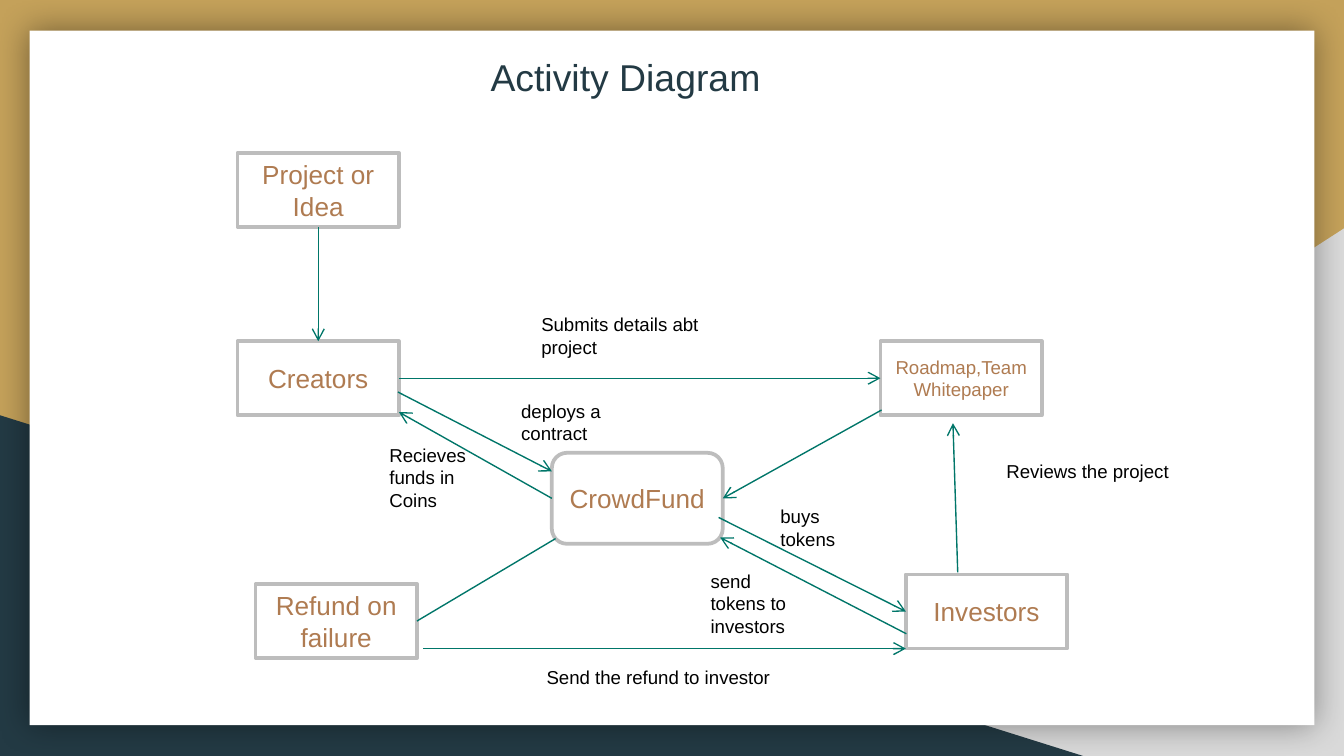
from lxml import etree
from pptx import Presentation
from pptx import util as u
from pptx.dml import color
from pptx.enum import shapes, text
from pptx.oxml import ns

# Content; all lengths in cm
SIZE = (25.4, 14.29)
THEME = {
    "font": "Arial", "gold": "C4A15A", "grey": "D9D9D9", "navy": "233A44",
    "white": "FFFFFF", "border": "BDBDBD", "copper": "AF7B51",
    "arrow": "007669", "black": "000000",
    "title": 20, "node": 14, "small": 10, "border_width": 2, "arrow_width": 0.75,
}
TITLE = ("Activity Diagram", 9.02, 0.89, 5.94, 1.12)
NODE_SIZE, HUB_SIZE = (3.05, 1.4), (3.23, 1.72)
NODES = {  # key: text, left, top
    "idea": ("Project or Idea", 4.49, 2.89),
    "creators": ("Creators", 4.49, 6.45),
    "refund": ("Refund on failure", 4.83, 11.04),
    "investors": ("Investors", 17.12, 10.86),
    "roadmap": ("Roadmap,Team Whitepaper", 16.64, 6.45),
    "hub": ("CrowdFund", 10.43, 8.56),
}
TOP, LEFT, BOTTOM, RIGHT = range(4)
LINKS = [  # each end is a point or a (node, side) pair; then whether it has a head
    (("refund", RIGHT), (10.5, 10.18), False),
    (("idea", BOTTOM), ("creators", TOP), True),
    (("creators", RIGHT), ("roadmap", LEFT), True),
    ((18.1, 10.82), (18.01, 8), True),
    ((16.66, 7.75), ("hub", RIGHT), True),
    ((13.58, 9.78), ("investors", LEFT), True),
    ((17.13, 11.98), (13.61, 10.16), True),
    ((7.52, 7.41), (10.43, 8.91), True),
    (("hub", LEFT), (7.54, 7.79), True),
    ((8, 12.26), (17.12, 12.26), True),
]
LABELS = [  # text, left, top, width, height
    ("Submits details abt project", 9.98, 5.79, 3.58, 1.12),
    ("Reviews the project", 18.77, 8.56, 3.58, 1.12),
    ("buys tokens", 14.5, 9.42, 2.13, 1.12),
    ("send tokens to investors", 13.18, 10.64, 2.13, 1.52),
    ("Recieves funds in Coins", 7.11, 8.26, 2.13, 1.52),
    ("deploys a contract", 9.6, 7.42, 2.13, 1.12),
    ("Send the refund to investor", 10.08, 12.45, 5, 0.69),
]


def rgb(name):
    return color.RGBColor.from_string(THEME[name])


def set_all(target, values):
    for name, value in values.items():
        setattr(target, name, value)


def write(shape, words, size, ink, align, anchor):
    frame = shape.text_frame
    frame.text = words
    set_all(frame, {"word_wrap": True, "vertical_anchor": anchor,
                    "auto_size": text.MSO_AUTO_SIZE.NONE})
    set_all(frame, dict.fromkeys(("margin_left", "margin_right"), u.Cm(0.25)))
    set_all(frame, dict.fromkeys(("margin_top", "margin_bottom"), u.Cm(0.13)))
    paragraph = frame.paragraphs[0]
    paragraph.alignment = align
    set_all(paragraph.font, {"name": THEME["font"], "size": u.Pt(THEME[size])})
    paragraph.font.color.rgb = rgb(ink)


def add_filled(slide, kind, fill, box, border=None):
    shape = slide.shapes.add_shape(kind, *map(u.Cm, box))
    shape.shadow.inherit = False
    shape.fill.solid()
    shape.fill.fore_color.rgb = rgb(fill)
    if border:
        shape.line.color.rgb = rgb(border)
        shape.line.width = u.Pt(THEME["border_width"])
    else:
        shape.line.fill.background()
    return shape


def add_background(slide):
    slide.background.fill.solid()
    slide.background.fill.fore_color.rgb = rgb("gold")
    triangle = shapes.MSO_SHAPE.RIGHT_TRIANGLE
    corner = add_filled(slide, triangle, "grey", (9.96, 4.32, 15.44, 9.97))
    corner.element.spPr.find(ns.qn("a:xfrm")).set("flipH", "1")
    add_filled(slide, triangle, "navy", (0, 7.85, 20.47, 6.44))
    panel = add_filled(slide, shapes.MSO_SHAPE.RECTANGLE, "white",
                       (0.56, 0.58, SIZE[0] - 2 * 0.56, SIZE[1] - 2 * 0.58))
    # Soft shadow around the panel
    effects = panel.element.spPr.find(ns.qn("a:effectLst"))
    shadow = etree.SubElement(effects, ns.qn("a:outerShdw"),
                              blurRad=str(u.Pt(18)), dist="0", algn="ctr", rotWithShape="0")
    tint = etree.SubElement(shadow, ns.qn("a:srgbClr"), val=THEME["black"])
    etree.SubElement(tint, ns.qn("a:alpha"), val="40000")


def add_node(slide, key):
    words, left, top = NODES[key]
    hub = key == "hub"
    kind = shapes.MSO_SHAPE.ROUNDED_RECTANGLE if hub else shapes.MSO_SHAPE.RECTANGLE
    size = HUB_SIZE if hub else NODE_SIZE
    node = add_filled(slide, kind, "white", (left, top, *size), "border")
    write(node, words, "small" if key == "roadmap" else "node", "copper",
          text.PP_ALIGN.CENTER, text.MSO_ANCHOR.MIDDLE)
    return node


def add_link(slide, nodes, start, end, head):
    points = [0 if point[0] in nodes else u.Cm(value)
              for point in (start, end) for value in point]
    link = slide.shapes.add_connector(shapes.MSO_CONNECTOR.STRAIGHT, *points)
    for (place, side), join in ((start, link.begin_connect), (end, link.end_connect)):
        if place in nodes:
            join(nodes[place], side)
    link.line.color.rgb = rgb("arrow")
    link.line.width = u.Pt(THEME["arrow_width"])
    properties = link.element.spPr
    if head:
        etree.SubElement(properties.find(ns.qn("a:ln")), ns.qn("a:tailEnd"),
                         type="arrow", w="med", len="med")
    etree.SubElement(properties, ns.qn("a:effectLst"))


def main():
    presentation = Presentation()
    set_all(presentation, {"slide_width": u.Cm(SIZE[0]), "slide_height": u.Cm(SIZE[1])})
    slide = presentation.slides.add_slide(presentation.slide_layouts[5])
    add_background(slide)

    # Diagram
    nodes = {key: add_node(slide, key) for key in NODES}
    for link in LINKS:
        add_link(slide, nodes, *link)
    for words, *box in LABELS:
        label = slide.shapes.add_textbox(*map(u.Cm, box))
        write(label, words, "small", "black", text.PP_ALIGN.LEFT, text.MSO_ANCHOR.TOP)

    # Title, brought in front of the panel
    title = slide.shapes.title
    words, *box = TITLE
    set_all(title, dict(zip(("left", "top", "width", "height"), map(u.Cm, box))))
    write(title, words, "title", "navy", text.PP_ALIGN.LEFT, text.MSO_ANCHOR.TOP)
    title.element.getparent().append(title.element)
    presentation.save("out.pptx")


if __name__ == "__main__":
    main()
